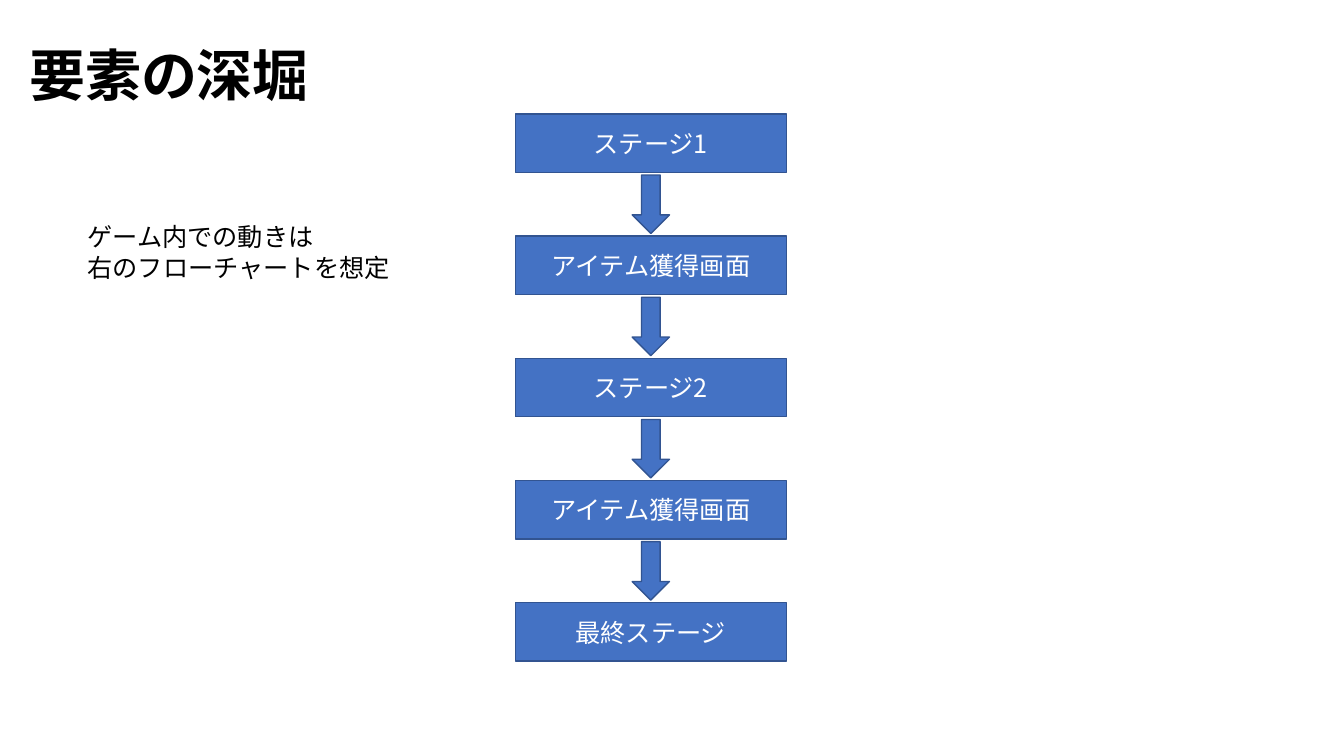
from pptx import Presentation
from pptx.dml.color import RGBColor
from pptx.enum.shapes import MSO_SHAPE
from pptx.enum.text import MSO_ANCHOR, PP_ALIGN
from pptx.oxml.ns import qn
from pptx.util import Inches, Pt
from lxml.etree import SubElement

TITLE = ["要素の深堀"]
EXPLANATION = ["ゲーム内での動きは", "右のフローチャートを想定"]
STEPS = ["ステージ1", "アイテム獲得画面", "ステージ2", "アイテム獲得画面", "最終ステージ"]

FONT = "Noto Sans CJK JP"
BLACK, WHITE, BLUE, DARK_BLUE = "000000", "FFFFFF", "4472C4", "325491"

FLOW_LEFT, FLOW_TOP, FLOW_BOTTOM = 5.11, 1.13, 6.56
STEP_WIDTH, STEP_HEIGHT = 2.69, 0.58
ARROW_WIDTH, ARROW_HEIGHT = 0.37, 0.58
STEP_PITCH = (FLOW_BOTTOM - STEP_HEIGHT - FLOW_TOP) / (len(STEPS) - 1)


def color(value):
    """Turn a hex string into a colour."""
    return RGBColor.from_string(value)


def write(frame, lines, size=18, fill=BLACK, bold=False,
          align=PP_ALIGN.LEFT, anchor=MSO_ANCHOR.TOP, wrap=True):
    """Fill a text frame with one paragraph per line."""
    frame.word_wrap = wrap
    frame.vertical_anchor = anchor
    for index, line in enumerate(lines):
        paragraph = frame.add_paragraph() if index else frame.paragraphs[0]
        paragraph.alignment = align
        paragraph.line_spacing = Pt(size * 1.2)
        run = paragraph.add_run()
        run.text = line
        run.font.size = Pt(size)
        run.font.bold = bold
        run.font.color.rgb = color(fill)
        run.font.name = FONT
        SubElement(run.font._element, qn("a:ea")).set("typeface", FONT)


def add_text(slide, left, top, width, height, lines, **text_format):
    """Add a text box that does not wrap."""
    box = slide.shapes.add_textbox(*map(Inches, (left, top, width, height)))
    write(box.text_frame, lines, wrap=False, **text_format)


def add_block(slide, kind, left, top, width, height):
    """Add a flat blue shape with a darker outline."""
    block = slide.shapes.add_shape(kind, *map(Inches, (left, top, width, height)))
    block.shadow.inherit = False
    block.fill.solid()
    block.fill.fore_color.rgb = color(BLUE)
    block.line.color.rgb = color(DARK_BLUE)
    block.line.width = Pt(1)
    return block


def add_flow(slide):
    """Stack the steps at an equal pitch with an arrow centred in each gap."""
    arrow_left = FLOW_LEFT + (STEP_WIDTH - ARROW_WIDTH) / 2
    arrow_offset = (STEP_HEIGHT + STEP_PITCH - ARROW_HEIGHT) / 2
    for index, label in enumerate(STEPS):
        top = FLOW_TOP + index * STEP_PITCH
        step = add_block(slide, MSO_SHAPE.RECTANGLE, FLOW_LEFT, top,
                         STEP_WIDTH, STEP_HEIGHT)
        write(step.text_frame, [label], fill=WHITE,
              align=PP_ALIGN.CENTER, anchor=MSO_ANCHOR.MIDDLE)
        if index < len(STEPS) - 1:
            add_block(slide, MSO_SHAPE.DOWN_ARROW, arrow_left, top + arrow_offset,
                      ARROW_WIDTH, ARROW_HEIGHT)


presentation = Presentation()
presentation.slide_width = Inches(13.33)
presentation.slide_height = Inches(7.5)
flow_slide = presentation.slides.add_slide(presentation.slide_layouts[6])

add_text(flow_slide, 0.19, 0.35, 3.01, 0.77, TITLE, size=40, bold=True)
add_text(flow_slide, 0.77, 2.15, 3.23, 0.71, EXPLANATION)
add_flow(flow_slide)

presentation.save("out.pptx")
